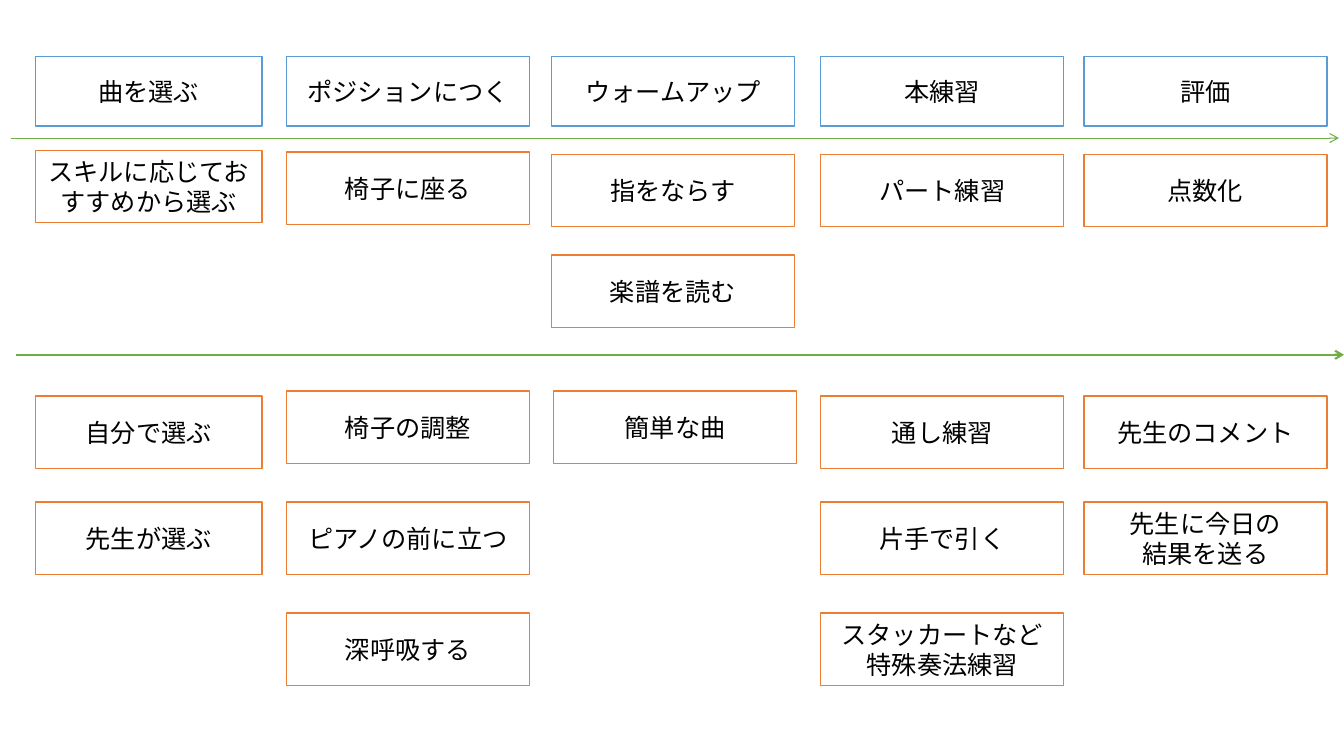
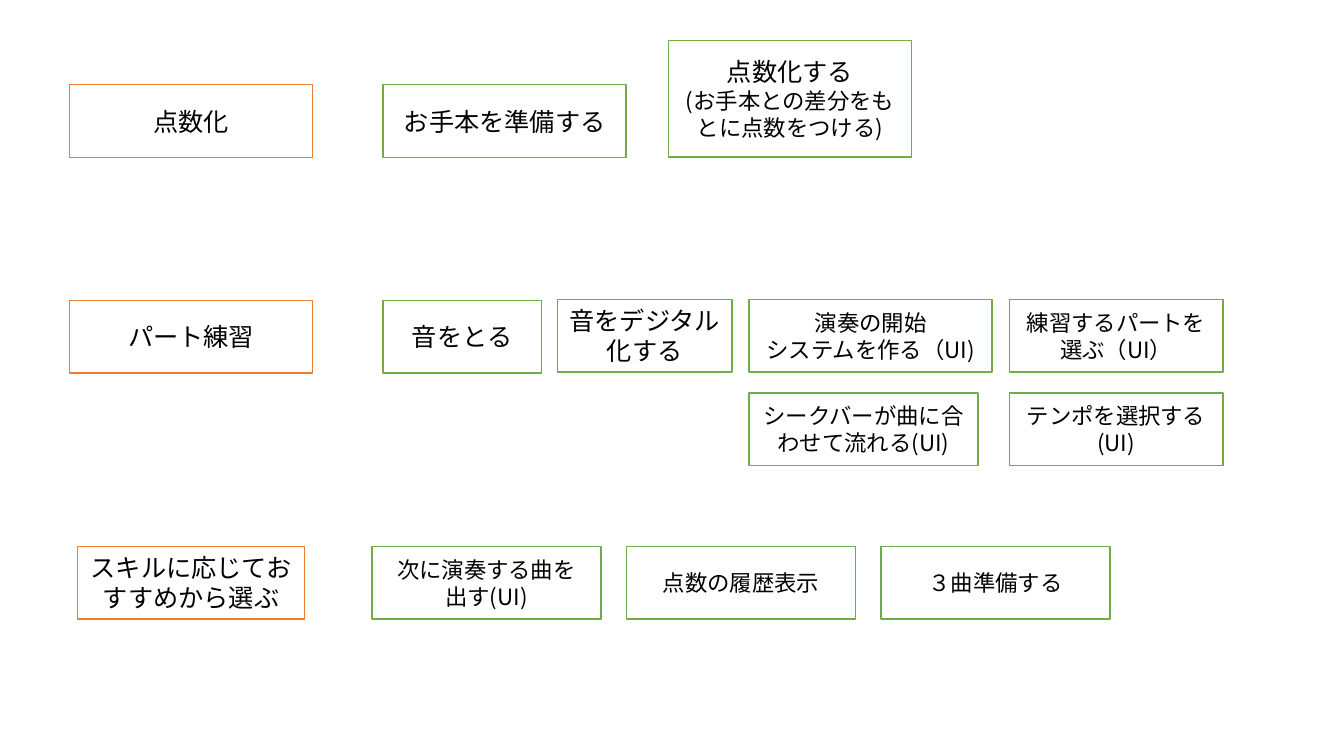
from lxml import etree
from pptx import Presentation
from pptx.dml.color import RGBColor
from pptx.enum.lang import MSO_LANGUAGE_ID
from pptx.enum.shapes import MSO_CONNECTOR, MSO_SHAPE
from pptx.enum.text import MSO_ANCHOR, PP_ALIGN
from pptx.oxml.ns import qn
from pptx.util import Inches, Pt

RECTANGLE = MSO_SHAPE.RECTANGLE
STRAIGHT = MSO_CONNECTOR.STRAIGHT
MIDDLE = MSO_ANCHOR.MIDDLE
CENTER = PP_ALIGN.CENTER
JAPANESE = MSO_LANGUAGE_ID.JAPANESE

COLORS = {
    "paper": "FFFFFF",
    "ink": "000000",
    "phase": "5B9BD5",
    "activity": "ED7D31",
    "task": "70AD47",
}
FONT = "Noto Sans CJK JP"
BODY, SMALL = 18, 16
CARD_WIDTH, CARD_HEIGHT = 2.41, 0.72
NARROW, UI_WIDTH, PART_WIDTH = 2.25, 2.27, 2.12
PHASE_TOP, PHASE_HEIGHT = 0.56, 0.69

PHASES = [
    ("曲を選ぶ", 0.35, NARROW, [
        ("スキルに応じておすすめから選ぶ", 1.49),
        ("自分で選ぶ", 3.93),
        ("先生が選ぶ", 4.98),
    ]),
    ("ポジションにつく", 2.84, CARD_WIDTH, [
        ("椅子に座る", 1.51),
        ("椅子の調整", 3.88),
        ("ピアノの前に立つ", 4.98),
        ("深呼吸する", 6.08),
    ]),
    ("ウォームアップ", 5.47, CARD_WIDTH, [
        ("指をならす", 1.53),
        ("楽譜を読む", 2.53),
    ]),
    ("本練習", 8.14, CARD_WIDTH, [
        ("パート練習", 1.53),
        ("通し練習", 3.93),
        ("片手で引く", 4.98),
        ("スタッカートなど\n特殊奏法練習", 6.08),
    ]),
    ("評価", 10.75, CARD_WIDTH, [
        ("点数化", 1.53),
        ("先生のコメント", 3.93),
        ("先生に今日の\n結果を送る", 4.98),
    ]),
]

ACTIVITIES = [
    ("点数化", 0.69, 0.84, CARD_WIDTH),
    ("パート練習", 0.69, 2.98, CARD_WIDTH),
    ("スキルに応じておすすめから選ぶ", 0.77, 5.42, NARROW),
]

TASKS = [
    ("お手本を準備する", 3.8, 0.84, CARD_WIDTH, BODY),
    ("音をとる", 3.8, 2.98, 1.57, BODY),
    ("音をデジタル化する", 5.53, 2.97, 1.73, BODY),
    ("演奏の開始\nシステムを作る（UI)", 7.43, 2.97, CARD_WIDTH, SMALL),
    ("練習するパートを選ぶ（UI）", 10.01, 2.97, PART_WIDTH, SMALL),
    ("シークバーが曲に合わせて流れる(UI)", 7.43, 3.9, UI_WIDTH, SMALL),
    ("テンポを選択する\n(UI)", 10.01, 3.9, PART_WIDTH, SMALL),
]
SELECTION_TASKS = ["次に演奏する曲を\n出す(UI)", "点数の履歴表示", "３曲準備する"]
SELECTION_LEFT, SELECTION_STEP, SELECTION_TOP = 3.69, 2.525, 5.42


def rgb(name):
    return RGBColor.from_string(COLORS[name])


def add_run(paragraph, text, size=BODY, color="ink"):
    run = paragraph.add_run()
    run.text = text
    run.font.size = Pt(size)
    run.font.color.rgb = rgb(color)
    run.font.name = FONT
    run.font.language_id = JAPANESE
    east_asian = etree.SubElement(run.font._element, qn("a:ea"))
    east_asian.set("typeface", FONT)


def write_text(frame, text, size=BODY, detail=None):
    frame.word_wrap = True
    frame.vertical_anchor = MIDDLE
    for index, line in enumerate(text.split("\n")):
        paragraph = frame.add_paragraph() if index else frame.paragraphs[0]
        paragraph.alignment = CENTER
        add_run(paragraph, line, size=size)
    if detail:
        paragraph.add_line_break()
        add_run(paragraph, detail, size=SMALL)


def add_card(slide, text, left, top, width=CARD_WIDTH, height=CARD_HEIGHT,
             outline="activity", **text_format):
    card = slide.shapes.add_shape(
        RECTANGLE, Inches(left), Inches(top), Inches(width), Inches(height))
    card.shadow.inherit = False
    card.fill.solid()
    card.fill.fore_color.rgb = rgb("paper")
    card.line.color.rgb = rgb(outline)
    card.line.width = Pt(1)
    write_text(card.text_frame, text, **text_format)


def add_timeline(slide, left, right, top, weight):
    timeline = slide.shapes.add_connector(
        STRAIGHT, Inches(left), Inches(top), Inches(right), Inches(top))
    timeline.line.color.rgb = rgb("task")
    timeline.line.width = Pt(weight)
    arrowhead = etree.SubElement(timeline.line._get_or_add_ln(), qn("a:tailEnd"))
    arrowhead.set("type", "arrow")
    etree.SubElement(timeline._element.spPr, qn("a:effectLst"))


def build_story_map(slide):
    for phase, left, width, activities in PHASES:
        add_card(slide, phase, left, PHASE_TOP, width, PHASE_HEIGHT, outline="phase")
        for activity, top in activities:
            add_card(slide, activity, left, top, width)
    add_card(slide, "簡単な曲", 5.49, 3.88)
    add_timeline(slide, 0.11, 13.28, 1.37, 0.75)
    add_timeline(slide, 0.16, 13.33, 3.52, 1.5)


def build_task_breakdown(slide):
    for activity, left, top, width in ACTIVITIES:
        add_card(slide, activity, left, top, width)
    for task, left, top, width, size in TASKS:
        add_card(slide, task, left, top, width, outline="task", size=size)
    add_card(slide, "点数化する", 6.63, 0.4, height=1.16, outline="task",
             detail="(お手本との差分をもとに点数をつける)")
    for index, task in enumerate(SELECTION_TASKS):
        add_card(slide, task, SELECTION_LEFT + index * SELECTION_STEP, SELECTION_TOP,
                 UI_WIDTH, outline="task", size=SMALL)


def main():
    deck = Presentation()
    deck.slide_width, deck.slide_height = Inches(13.33), Inches(7.5)
    blank_layout = deck.slide_layouts[6]
    for build in (build_story_map, build_task_breakdown):
        build(deck.slides.add_slide(blank_layout))
    deck.save("out.pptx")


if __name__ == "__main__":
    main()
